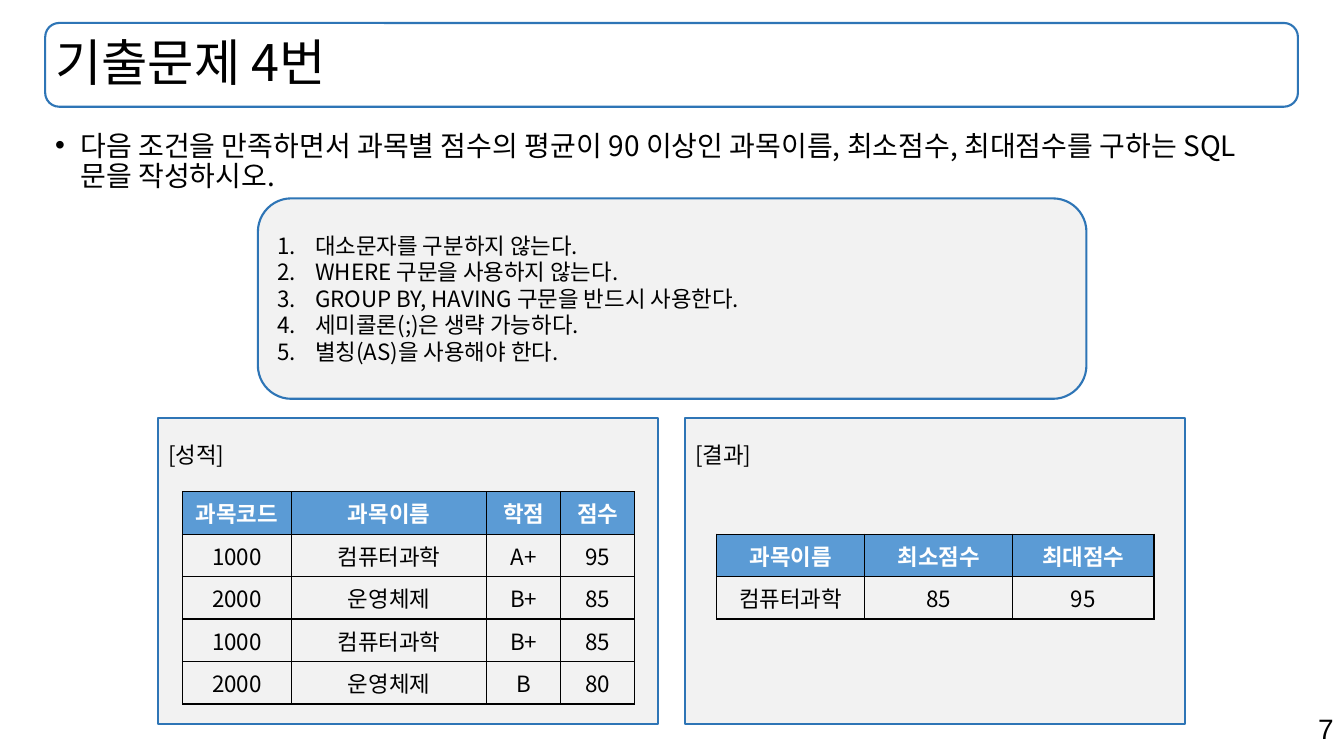
"""Builds a quiz slide: an SQL question, its conditions and two tables."""
from lxml.etree import SubElement
from pptx import Presentation
from pptx.dml.color import RGBColor
from pptx.enum.shapes import MSO_SHAPE as Preset
from pptx.enum.text import MSO_ANCHOR as Anchor, PP_ALIGN as Align
from pptx.oxml.ns import qn
from pptx.util import Cm, Pt

COLORS = {"ink": "000000", "white": "FFFFFF", "panel": "F2F2F2",
          "outline": "2E75B6", "header": "5B9BD5"}
KOREAN = "Noto Sans CJK KR"
CONDITIONS = ["대소문자를 구분하지 않는다.", "WHERE 구문을 사용하지 않는다.",
              "GROUP BY, HAVING 구문을 반드시 사용한다.",
              "세미콜론(;)은 생략 가능하다.", "별칭(AS)을 사용해야 한다."]
GRADES = [["과목코드", "과목이름", "학점", "점수"],
          ["1000", "컴퓨터과학", "A+", "95"],
          ["2000", "운영체제", "B+", "85"],
          ["1000", "컴퓨터과학", "B+", "85"],
          ["2000", "운영체제", "B", "80"]]
RESULT = [["과목이름", "최소점수", "최대점수"], ["컴퓨터과학", "85", "95"]]
ROW_HEIGHT = 1.07


def color(key):
    """Return the named colour."""
    return RGBColor.from_string(COLORS[key])


def write(paragraph, text, size, ink="ink", bold=False, face=KOREAN):
    """Add one formatted run to a paragraph."""
    run = paragraph.add_run()
    run.text = text
    run.font.size = Pt(size)
    run.font.bold = bold
    run.font.name = face
    run.font.color.rgb = color(ink)
    SubElement(run.font._element, qn("a:ea"), typeface=face)


def add_marker(paragraph, indent, tag, **attributes):
    """Give a paragraph a hanging bullet or number."""
    properties = paragraph._p.get_or_add_pPr()
    properties.set("marL", str(Cm(indent)))
    properties.set("indent", str(-Cm(indent)))
    SubElement(properties, qn("a:buFont"), typeface="Arial")
    SubElement(properties, qn(tag), **attributes)


def add_panel(slide, box, preset, fill=None):
    """Draw an outlined panel and return its text frame."""
    panel = slide.shapes.add_shape(preset, *map(Cm, box))
    panel.shadow.inherit = False
    panel.line.color.rgb = color("outline")
    panel.line.width = Pt(1.5)
    if fill:
        panel.fill.solid()
        panel.fill.fore_color.rgb = color(fill)
    else:
        panel.fill.background()
    panel.text_frame.word_wrap = True
    return panel.text_frame


def add_text_frame(slide, box, anchor=Anchor.TOP):
    """Add a wrapping text box and return its text frame."""
    frame = slide.shapes.add_textbox(*map(Cm, box)).text_frame
    frame.word_wrap = True
    frame.vertical_anchor = anchor
    return frame


def add_title(slide, box):
    """Place the framed title."""
    add_panel(slide, box, Preset.ROUNDED_RECTANGLE)
    heading = add_text_frame(slide, box, Anchor.MIDDLE).paragraphs[0]
    heading.line_spacing = 0.9
    write(heading, "기출문제 4번", 36)


def add_question(slide, box):
    """Place the bulleted question."""
    question = add_text_frame(slide, box).paragraphs[0]
    question.line_spacing = Pt(21.5)
    add_marker(question, 0.64, "a:buChar", char="•")
    write(question, "다음 조건을 만족하면서 과목별 점수의 평균이 90 이상인 과목이름, "
          "최소점수, 최대점수를 구하는 SQL 문을 작성하시오.", 20)


def add_conditions(slide, box):
    """Place the numbered conditions in a rounded panel."""
    frame = add_panel(slide, box, Preset.ROUNDED_RECTANGLE, "panel")
    frame.vertical_anchor = Anchor.MIDDLE
    for index, condition in enumerate(CONDITIONS):
        item = frame.add_paragraph() if index else frame.paragraphs[0]
        item.alignment = Align.LEFT
        item.line_spacing = Pt(19)
        add_marker(item, 0.95, "a:buAutoNum", type="arabicPeriod")
        write(item, condition, 16)


def fill_cell(cell, text, is_header):
    """Write, border and fill one table cell."""
    properties = cell._tc.get_or_add_tcPr()
    for side in ("a:lnL", "a:lnR", "a:lnT", "a:lnB"):
        border = SubElement(properties, qn(side), w=str(Pt(1)))
        paint = SubElement(border, qn("a:solidFill"))
        SubElement(paint, qn("a:srgbClr"), val=COLORS["ink"])
    cell.fill.solid()
    cell.fill.fore_color.rgb = color("header" if is_header else "panel")
    content = cell.text_frame.paragraphs[0]
    content.alignment = Align.CENTER
    write(content, text, 16, "white" if is_header else "ink", is_header)


def add_table_panel(slide, box, label, rows, widths, offset):
    """Place a labelled panel with a table at an offset inside it."""
    frame = add_panel(slide, box, Preset.RECTANGLE, "panel")
    frame.vertical_anchor = Anchor.TOP
    frame.margin_top = Cm(0.58)
    caption = frame.paragraphs[0]
    caption.alignment = Align.LEFT
    write(caption, label, 16)
    left, top = box[0] + offset[0], box[1] + offset[1]
    size = (sum(widths), ROW_HEIGHT * len(rows))
    table = slide.shapes.add_table(len(rows), len(widths),
                                   *map(Cm, (left, top, *size))).table
    for column, width in zip(table.columns, widths):
        column.width = Cm(width)
    for r, row in enumerate(rows):
        for c, text in enumerate(row):
            fill_cell(table.cell(r, c), text, r == 0)


def add_page_number(slide, box):
    """Place the page number at the bottom right."""
    number = add_text_frame(slide, box).paragraphs[0]
    number.alignment = Align.RIGHT
    write(number, "7", 20, face="Arial")


def main():
    """Build and save the slide."""
    deck = Presentation()
    deck.slide_width, deck.slide_height = Cm(33.87), Cm(19.05)
    slide = deck.slides.add_slide(deck.slide_layouts[6])
    add_page_number(slide, (23.95, 17.81, 9.91, 1.12))
    add_title(slide, (1.14, 0.58, 31.57, 2.11))
    add_question(slide, (1.14, 3.2, 31.57, 14.05))
    add_conditions(slide, (6.5, 5, 20.88, 5.05))
    add_table_panel(slide, (3.99, 10.54, 12.6, 7.7), "[성적]", GRADES,
                    (2.74, 4.93, 1.85, 1.88), (0.61, 1.85))
    add_table_panel(slide, (17.27, 10.54, 12.6, 7.7), "[결과]", RESULT,
                    (3.73, 3.73, 3.56), (0.79, 2.92))
    deck.save("out.pptx")


if __name__ == "__main__":
    main()
